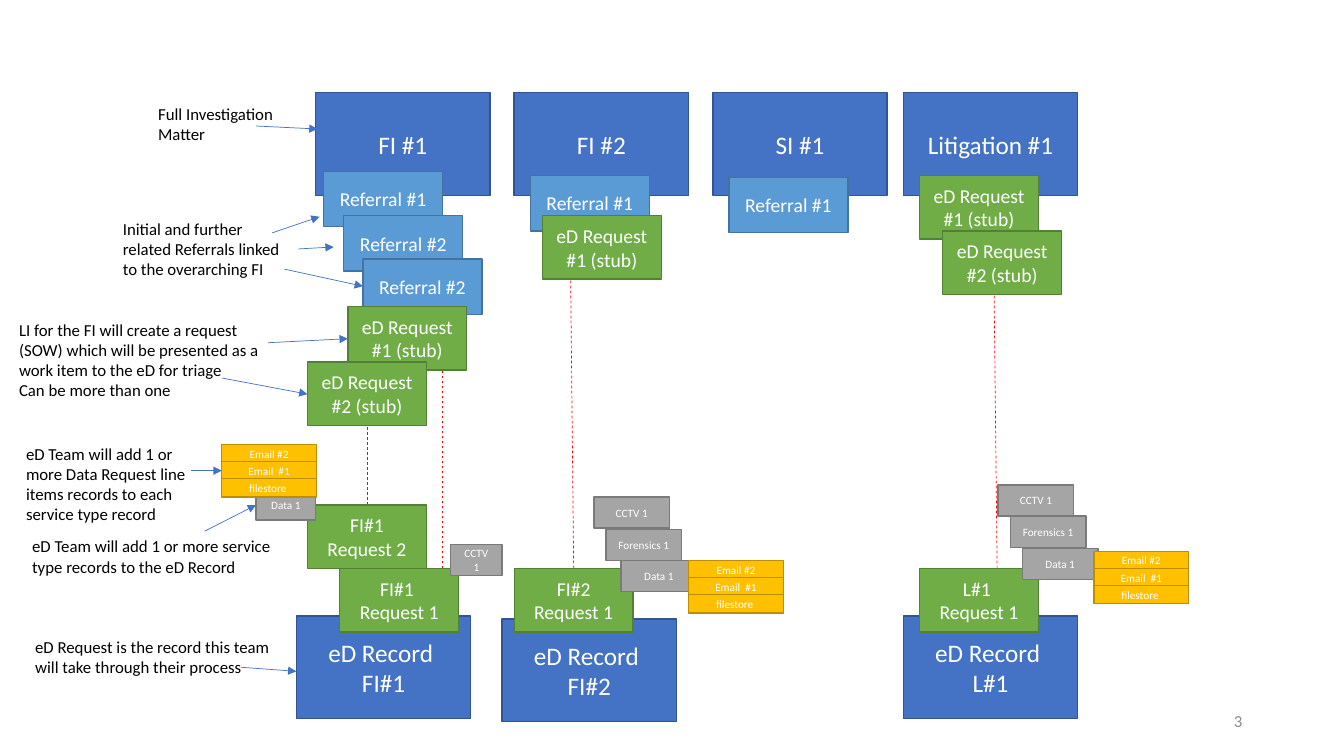
from pptx import Presentation
from pptx.dml.color import RGBColor
from pptx.enum.dml import MSO_LINE
from pptx.enum.shapes import MSO_CONNECTOR, MSO_SHAPE
from pptx.enum.text import MSO_ANCHOR, MSO_AUTO_SIZE, PP_ALIGN
from pptx.oxml.ns import qn
from pptx.util import Inches, Pt
from lxml.etree import SubElement

HUES = {
    "blue": "4472C4", "navy": "325491",
    "sky": "5B9BD5", "steel": "43739E",
    "green": "70AD47", "moss": "538035",
    "grey": "A5A5A5", "slate": "7A7A7A",
    "gold": "FFC000", "ochre": "BD8E00",
    "red": "FF0000", "white": "FFFFFF",
    "black": "000000", "dim": "8C8C8C",
}

KINDS = {
    "matter": ("blue", "navy", 1.73, 1.02, 18),
    "refer": ("sky", "steel", 1.18, 0.55, 14),
    "request": ("green", "moss", 1.18, 0.63, 14),
    "data": ("grey", "slate", 0.75, 0.31, 8),
    "mail": ("gold", "ochre", 0.94, 0.18, 8),
}

CARDS = {
    "matter": [
        ("FI #1", 3.13, 0.92), ("FI #2", 5.1, 0.92),
        ("Litigation #1", 8.96, 0.92), ("SI #1", 7.07, 0.92),
        ("eD Record \nFI#1", 2.94, 6.11),
        ("eD Record \nFI#2", 4.98, 6.14),
        ("eD Record \nL#1", 8.96, 6.11),
    ],
    "refer": [
        ("Referral #1", 3.21, 1.7), ("Referral #2", 3.41, 2.14),
        ("Referral #2", 3.6, 2.57), ("Referral #1", 5.26, 1.74),
        ("Referral #1", 7.23, 1.76),
    ],
    "request": [
        ("eD Request #1 (stub)", 9.12, 1.74),
        ("eD Request #1 (stub)", 3.45, 3.04),
        ("eD Request #2 (stub)", 3.05, 3.59),
        ("eD Request #2 (stub)", 9.35, 2.29),
        ("eD Request #1 (stub)", 5.38, 2.14),
        ("FI#1  Request 1", 3.37, 5.64),
        ("FI#1 Request 2", 3.05, 5.01),
        ("FI#2 Request 1", 5.1, 5.64),
        ("L#1 \nRequest 1", 9.12, 5.64),
    ],
    "data": [
        ("Data 1", 6.16, 5.56), ("Forensics 1", 6.01, 5.25),
        ("CCTV 1", 5.89, 4.93),
        ("Data 1", 10.14, 5.44), ("Forensics 1", 10.02, 5.12),
        ("CCTV 1", 9.9, 4.81),
        ("Data 1", 2.54, 4.85, 0.59), ("CCTV 1", 4.47, 5.4, 0.51),
    ],
}

MAILS = ["Email #2", "Email  #1", "filestore "]
STACKS = [(6.83, 5.56), (10.85, 5.47), (2.2, 4.41)]
STEP = 0.17

LINKS = [
    (3.64, 5.01, 3.64, 4.22), (4.39, 5.64, 4.39, 3.67),
    (5.69, 5.64, 5.66, 2.77), (9.89, 5.64, 9.86, 2.91),
]

NOTES = [
    ("Full Investigation Matter", 1.47, 0.98, 1.8, 0.5),
    ("Initial and further related Referrals linked to the overarching FI",
     1.12, 2.12, 1.84, 0.71),
    ("LI for the FI will create a request (SOW) which will be presented "
     "as a work item to the eD for triage\nCan be more than one",
     0.09, 3.12, 2.61, 0.91),
    ("eD Request is the record this team will take through their process",
     0.25, 6.27, 2.61, 0.5),
    ("eD Team will add 1 or more service type records to the eD Record",
     0.22, 5.27, 2.61, 0.5),
    ("eD Team will add 1 or more Data Request line items records to each "
     "service type record", 0.16, 4.35, 1.87, 0.91),
]

ARROWS = [
    (2.7, 2.31, 3.17, 2.15), (2.96, 2.47, 3.31, 2.45),
    (2.82, 2.67, 3.6, 2.84), (2.54, 1.25, 3.15, 1.28),
    (2.66, 3.4, 3.45, 3.36), (2.2, 3.75, 3.05, 3.91),
    (2.39, 6.62, 2.94, 6.66), (1.89, 4.67, 2.2, 4.67),
    (2.03, 5.27, 2.54, 5.01),
]


def hue(name):
    return RGBColor.from_string(HUES[name])


def write(shape, text, size, color, align, anchor):
    frame = shape.text_frame
    frame.word_wrap = True
    frame.vertical_anchor = anchor
    frame.text = text
    for para in frame.paragraphs:
        para.alignment = align
        para.font.name = "Calibri"
        para.font.size = Pt(size)
        para.font.color.rgb = hue(color)
    return frame


def card(shapes, kind, text, left, top, width=None):
    fill, edge, wide, high, size = KINDS[kind]
    box = shapes.add_shape(MSO_SHAPE.RECTANGLE, Inches(left), Inches(top),
                           Inches(width or wide), Inches(high))
    box.shadow.inherit = False
    box.fill.solid()
    box.fill.fore_color.rgb = hue(fill)
    box.line.color.rgb = hue(edge)
    box.line.width = Pt(1)
    write(box, text, size, "white", PP_ALIGN.CENTER, MSO_ANCHOR.MIDDLE)


def stack(shapes, left, top):
    group = shapes.add_group_shape()
    for row, text in enumerate(MAILS):
        card(group.shapes, "mail", text, left, top + row * STEP)


def label(shapes, text, left, top, width, height, size=12, color="black",
          align=PP_ALIGN.LEFT, anchor=MSO_ANCHOR.TOP):
    box = shapes.add_textbox(Inches(left), Inches(top),
                             Inches(width), Inches(height))
    return write(box, text, size, color, align, anchor)


def note(shapes, *args):
    label(shapes, *args).auto_size = MSO_AUTO_SIZE.SHAPE_TO_FIT_TEXT


def line(shapes, ends, color):
    wire = shapes.add_connector(MSO_CONNECTOR.STRAIGHT, *map(Inches, ends))
    wire.line.color.rgb = hue(color)
    wire.line.width = Pt(0.5)
    SubElement(wire._element.spPr, qn("a:effectLst"))
    return wire


def link(shapes, ends):
    line(shapes, ends, "red").line.dash_style = MSO_LINE.DASH


def arrow(shapes, ends):
    wire = line(shapes, ends, "blue")
    stroke = wire._element.spPr.find(qn("a:ln"))
    SubElement(stroke, qn("a:tailEnd"), type="triangle")


def main():
    deck = Presentation()
    deck.slide_width = Inches(13.33)
    deck.slide_height = Inches(7.5)
    shapes = deck.slides.add_slide(deck.slide_layouts[6]).shapes
    for ends in LINKS:
        link(shapes, ends)
    for kind, cards in CARDS.items():
        for item in cards:
            card(shapes, kind, *item)
    for spot in STACKS:
        stack(shapes, *spot)
    label(shapes, "3", 9.42, 6.95, 3, 0.4, 12, "dim",
          PP_ALIGN.RIGHT, MSO_ANCHOR.MIDDLE)
    for item in NOTES:
        note(shapes, *item)
    for ends in ARROWS:
        arrow(shapes, ends)
    deck.save("out.pptx")


main()
